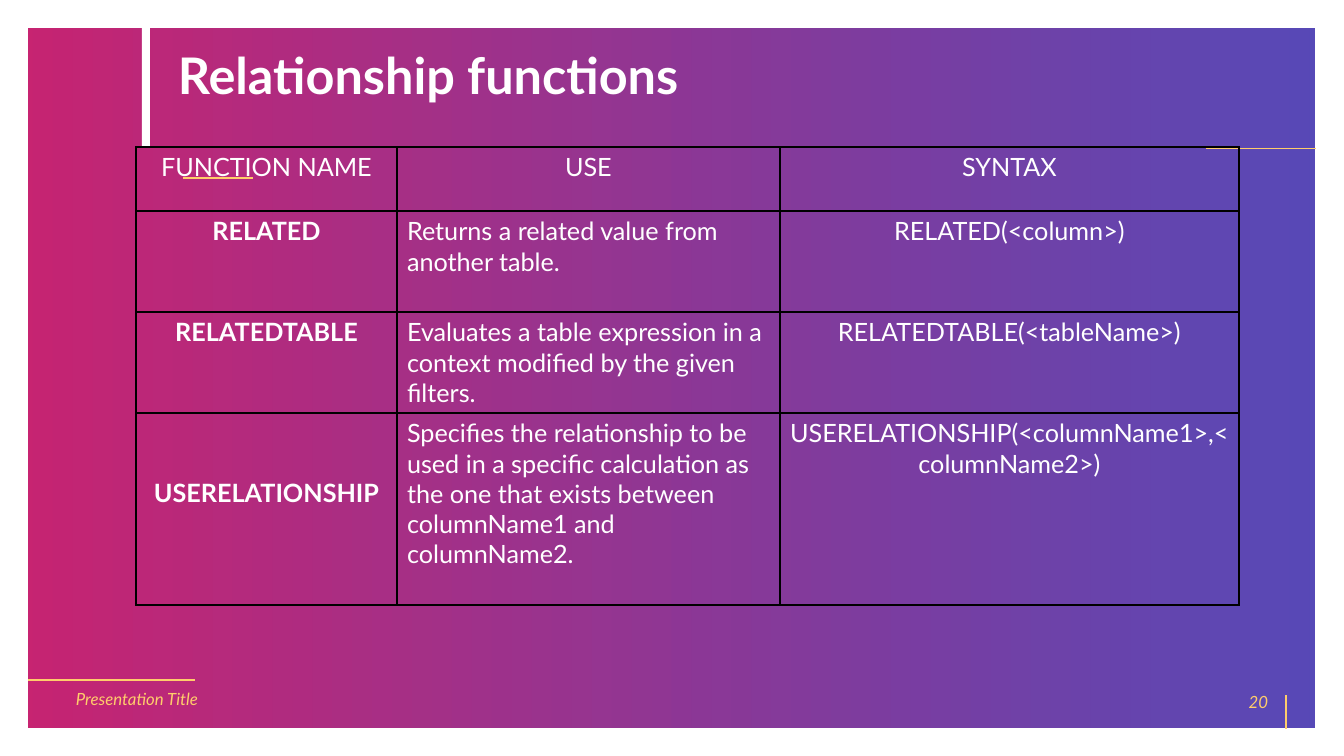
from dataclasses import dataclass

from lxml import etree
from pptx import Presentation
from pptx import util as u
from pptx.dml.color import RGBColor
from pptx.enum import shapes, text
from pptx.oxml.ns import qn

SLIDE_W, SLIDE_H = 1344, 756
EMU_PER_PX = 12192000 / SLIDE_W
GOLD, WHITE, BLACK = "FFCD6B", "FFFFFF", "000000"
LEFT, CENTER, RIGHT = text.PP_ALIGN.LEFT, text.PP_ALIGN.CENTER, text.PP_ALIGN.RIGHT
TOP, MIDDLE = text.MSO_ANCHOR.TOP, text.MSO_ANCHOR.MIDDLE


@dataclass
class Rule:
    x1: int
    y1: int
    x2: int
    y2: int
    weight: float = 1.5


@dataclass
class Label:
    words: str
    x: int
    y: int
    w: int
    h: int
    size: int = 12
    color: str = GOLD
    bold: bool = False
    italic: bool = True
    align: int = LEFT
    anchor: int = MIDDLE


@dataclass
class FunctionRow:
    name: str
    use: str
    syntax: str
    height: int
    name_inset: int = 5
    header: bool = False


RULES = [
    Rule(183, 178, 253, 178),
    Rule(1206, 148, 1316, 148, 0.5),
    Rule(1286, 729, 1286, 695),
    Rule(28, 680, 195, 680),
]
LABELS = [
    Label("Presentation Title", 66, 679, 307, 40),
    Label("20", 976, 682, 302, 40, align=RIGHT),
    Label("Relationship functions", 168, 39, 1035, 132, size=36, color=WHITE,
          bold=True, italic=False, anchor=TOP),
]
COLUMN_WIDTHS = [261, 383, 459]
FUNCTIONS = [
    FunctionRow("FUNCTION NAME", "USE", "SYNTAX", 64, header=True),
    FunctionRow("RELATED", "Returns a related value from another table.",
                "RELATED(<column>)", 101),
    FunctionRow("RELATEDTABLE",
                "Evaluates a table expression in a context modified by the given filters.",
                "RELATEDTABLE(<tableName>)", 101),
    FunctionRow("USERELATIONSHIP",
                "Specifies the relationship to be used in a specific calculation as the one "
                "that exists between columnName1 and columnName2.",
                "USERELATIONSHIP(<columnName1>,<columnName2>)", 192, name_inset=65),
]


def px(length: float) -> u.Emu:
    return u.Emu(round(length * EMU_PER_PX))


def rgb(color: str) -> RGBColor:
    return RGBColor.from_string(color)


def write(frame, words: str, *, size: int = 18, color: str = WHITE, bold: bool = False,
          italic: bool = False, align: int = LEFT) -> None:
    frame.word_wrap = True
    paragraph = frame.paragraphs[0]
    paragraph.alignment = align
    run = paragraph.add_run()
    run.text = words
    font = run.font
    font.name, font.size, font.bold, font.italic = "Lato", u.Pt(size), bold, italic
    font.color.rgb = rgb(color)


def add_rectangle(slide, x: int, y: int, w: int, h: int):
    rectangle = slide.shapes.add_shape(
        shapes.MSO_SHAPE.RECTANGLE, px(x), px(y), px(w), px(h))
    rectangle.shadow.inherit = False
    return rectangle


def add_backdrop(slide) -> None:
    backdrop = add_rectangle(slide, 13, 13, 1317, 730)
    backdrop.fill.gradient()
    backdrop.fill.gradient_angle = 0
    for stop, color in zip(backdrop.fill.gradient_stops, ("BE005A", "3B2CAC")):
        stop.color.rgb = rgb(color)
    for tint in backdrop._element.spPr.iter(qn("a:srgbClr")):
        etree.SubElement(tint, qn("a:alpha"), val="85000")
    backdrop.line.color.rgb = rgb(WHITE)
    backdrop.line.width = u.Pt(21.5)


def add_title_bar(slide) -> None:
    title_bar = add_rectangle(slide, 142, 27, 8, 119)
    title_bar.fill.solid()
    title_bar.fill.fore_color.rgb = rgb(WHITE)
    title_bar.line.fill.background()


def add_rule(slide, rule: Rule) -> None:
    line = slide.shapes.add_connector(
        shapes.MSO_CONNECTOR.STRAIGHT, px(rule.x1), px(rule.y1), px(rule.x2), px(rule.y2))
    line.line.color.rgb = rgb(GOLD)
    line.line.width = u.Pt(rule.weight)
    etree.SubElement(line._element.spPr, qn("a:effectLst"))


def add_label(slide, label: Label) -> None:
    frame = slide.shapes.add_textbox(
        px(label.x), px(label.y), px(label.w), px(label.h)).text_frame
    frame.vertical_anchor = label.anchor
    write(frame, label.words, size=label.size, color=label.color, bold=label.bold,
          italic=label.italic, align=label.align)


def outline_cell(cell) -> None:
    cell.fill.background()
    properties = cell._tc.get_or_add_tcPr()
    for index, side in enumerate(("lnL", "lnR", "lnT", "lnB")):
        border = etree.Element(qn(f"a:{side}"), w=str(u.Pt(1)))
        ink = etree.SubElement(border, qn("a:solidFill"))
        etree.SubElement(ink, qn("a:srgbClr"), val=BLACK)
        properties.insert(index, border)


def add_function_table(slide) -> None:
    table = slide.shapes.add_table(
        len(FUNCTIONS), len(COLUMN_WIDTHS), px(136), px(147),
        px(sum(COLUMN_WIDTHS)), px(sum(f.height for f in FUNCTIONS))).table
    table.first_row = table.horz_banding = False
    for column, width in zip(table.columns, COLUMN_WIDTHS):
        column.width = px(width)
    for row, function in zip(table.rows, FUNCTIONS):
        row.height = px(function.height)
        name, use, syntax = row.cells
        for cell in (name, use, syntax):
            outline_cell(cell)
        name.margin_top = px(function.name_inset)
        write(name.text_frame, function.name, bold=not function.header, align=CENTER)
        write(use.text_frame, function.use, align=CENTER if function.header else LEFT)
        write(syntax.text_frame, function.syntax, align=CENTER)


def main() -> None:
    deck = Presentation()
    deck.slide_width, deck.slide_height = px(SLIDE_W), px(SLIDE_H)
    slide = deck.slides.add_slide(deck.slide_layouts[6])
    add_backdrop(slide)
    add_title_bar(slide)
    for rule in RULES:
        add_rule(slide, rule)
    add_function_table(slide)
    for label in LABELS:
        add_label(slide, label)
    deck.save("out.pptx")


if __name__ == "__main__":
    main()
